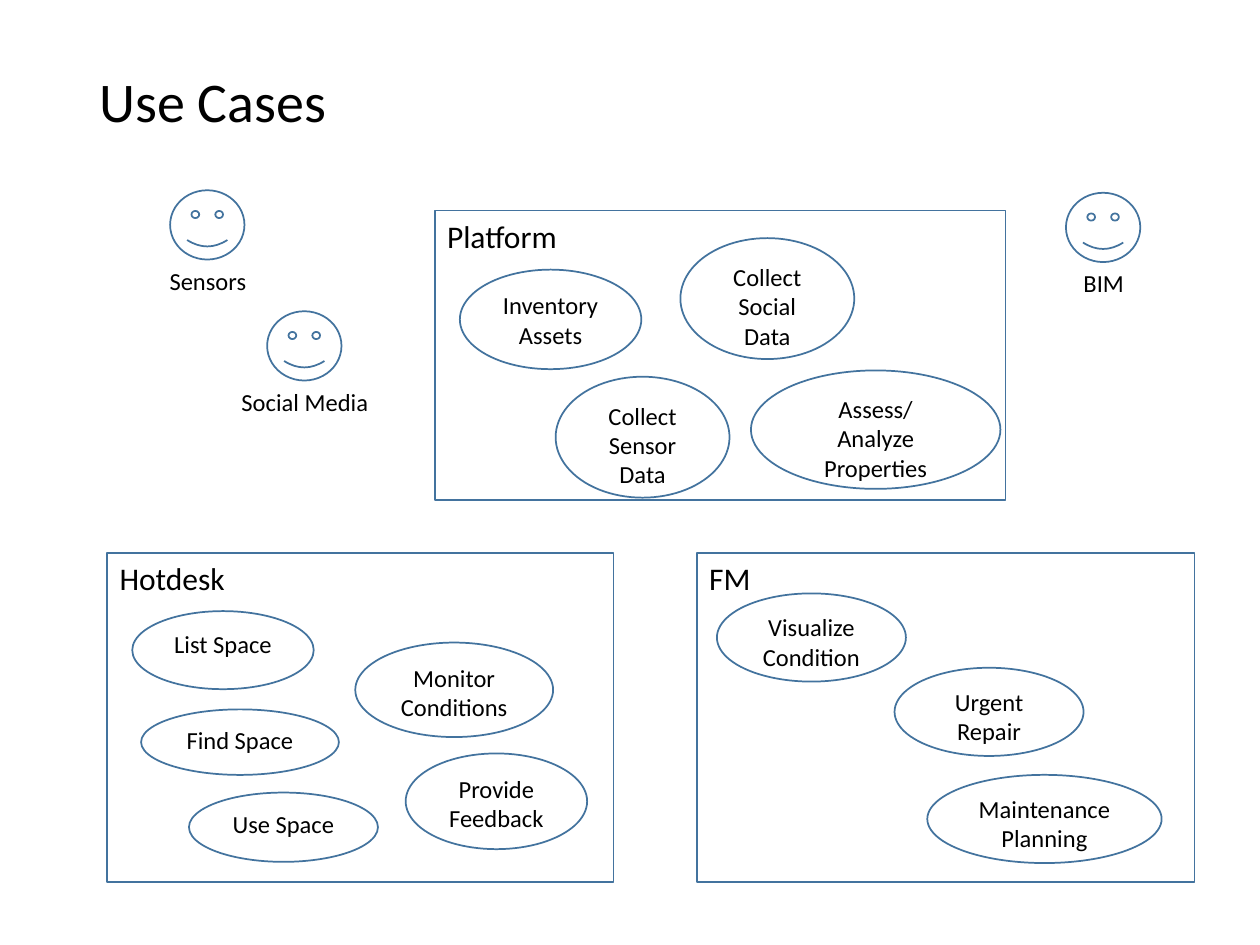
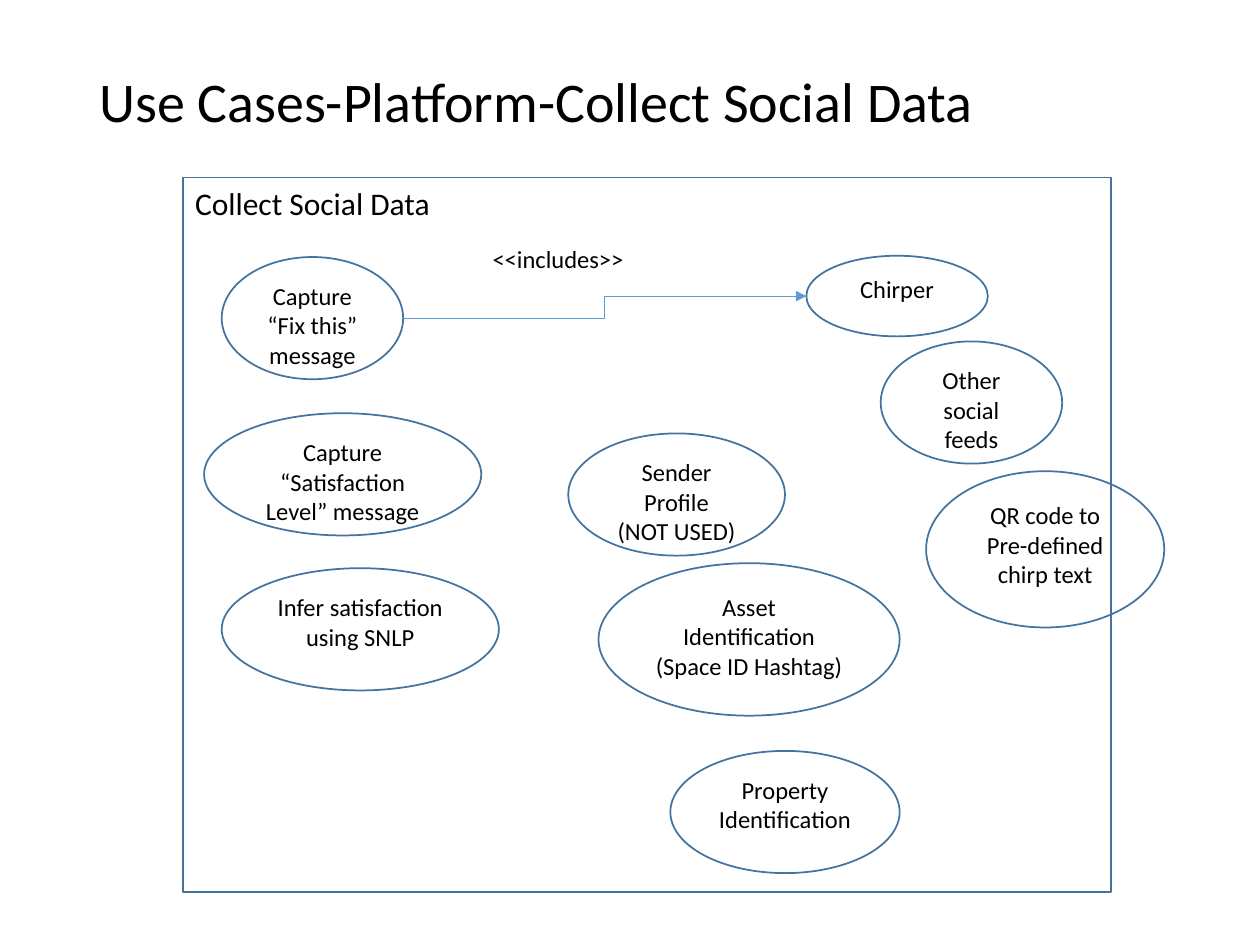
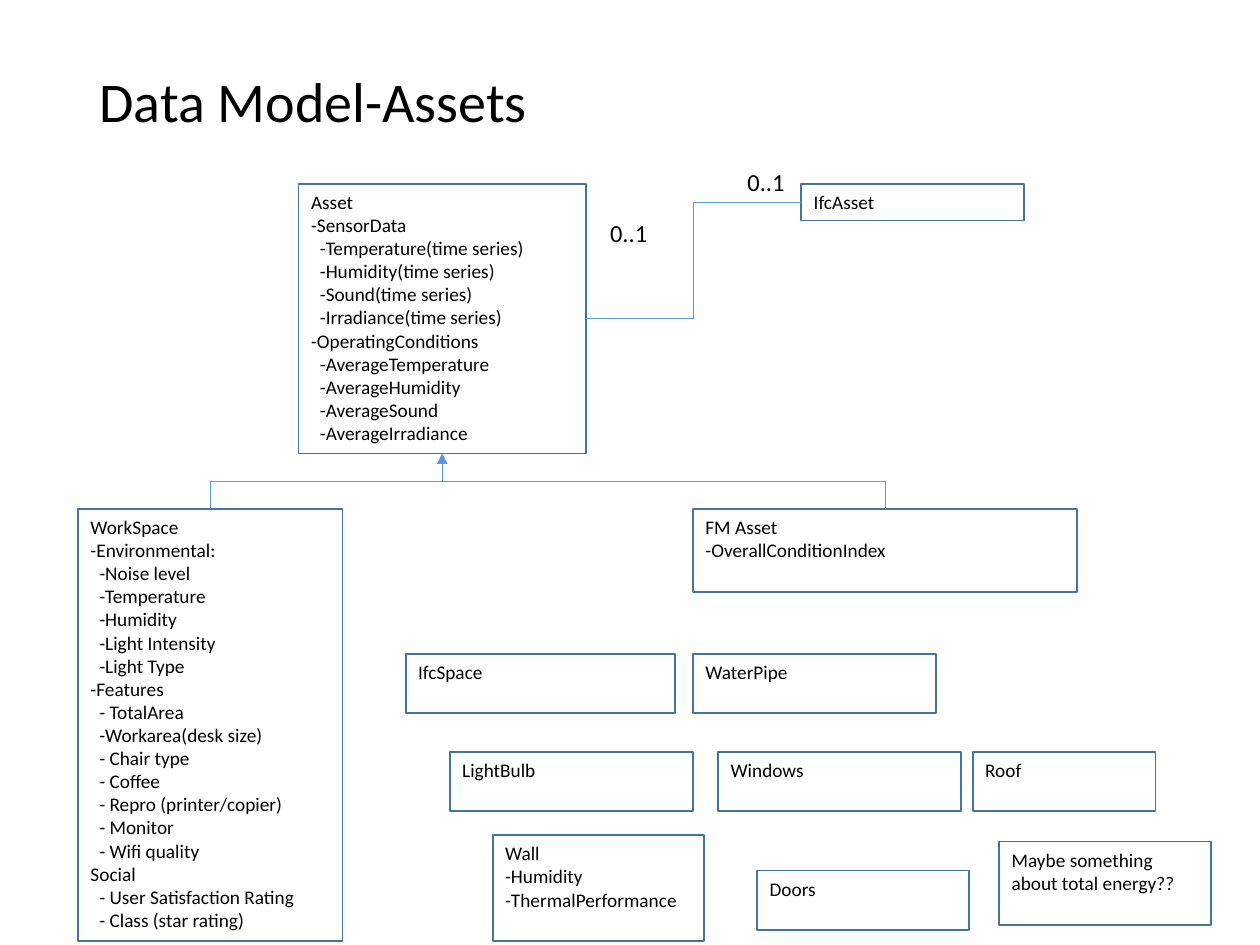
from dataclasses import dataclass

from lxml.etree import SubElement
from pptx import Presentation
from pptx.dml.color import RGBColor
from pptx.enum.shapes import MSO_CONNECTOR as Connector, MSO_SHAPE as Preset
from pptx.enum.text import MSO_ANCHOR as Anchor, PP_ALIGN as Align
from pptx.oxml.ns import qn
from pptx.util import Inches, Pt


@dataclass(frozen=True)
class Theme:
    font: str = "Calibri"
    ink: RGBColor = RGBColor(0x00, 0x00, 0x00)
    outline: RGBColor = RGBColor(0x43, 0x73, 0x9E)
    link: RGBColor = RGBColor(0x5B, 0x9B, 0xD5)
    title: int = 32
    heading: int = 18
    label: int = 14
    member: int = 11
    outline_width: float = 1
    link_width: float = 0.5
    member_indent: float = 0.07


THEME = Theme()


@dataclass(frozen=True)
class Box:
    x: float
    y: float
    w: float
    h: float

    def inner(self, x, y, w, h):
        return Box(self.x + x, self.y + y, w, h)

    def lengths(self):
        return [Inches(v) for v in (self.x, self.y, self.w, self.h)]

    def left(self):
        return self.x, self.y + self.h / 2

    def right(self):
        return self.x + self.w, self.y + self.h / 2

    def top(self):
        return self.x + self.w / 2, self.y

    def bottom(self):
        return self.x + self.w / 2, self.y + self.h


def write(holder, lines, size=THEME.label, align=Align.CENTER,
          anchor=Anchor.TOP, spacing=None, indents=()):
    frame = holder.text_frame
    frame.word_wrap = True
    frame.vertical_anchor = anchor
    for index, line in enumerate(lines):
        paragraph = frame.paragraphs[0] if index == 0 else frame.add_paragraph()
        paragraph.alignment = align
        if spacing:
            paragraph.line_spacing = spacing
        if indents and indents[index]:
            margin = Inches(indents[index])
            paragraph._p.get_or_add_pPr().set("marL", str(margin))
        run = paragraph.add_run()
        run.text = line
        run.font.name = THEME.font
        run.font.size = Pt(size)
        run.font.color.rgb = THEME.ink


def outlined(parent, preset, box):
    shape = parent.shapes.add_shape(preset, *box.lengths())
    shape.shadow.inherit = False
    shape.fill.background()
    shape.line.color.rgb = THEME.outline
    shape.line.width = Pt(THEME.outline_width)
    return shape


def caption(parent, box, text, **style):
    write(parent.shapes.add_textbox(*box.lengths()), [text], **style)


def link(slide, start, end, arrow=False, upright=False):
    if upright:
        mid_x, mid_y = (start[0] + end[0]) / 2, (start[1] + end[1]) / 2
        run, rise = (end[0] - start[0]) / 2, (end[1] - start[1]) / 2
        start, end = (mid_x - rise, mid_y + run), (mid_x + rise, mid_y - run)
    line = slide.shapes.add_connector(
        Connector.ELBOW, *[Inches(v) for v in (*start, *end)])
    line.line.color.rgb = THEME.link
    line.line.width = Pt(THEME.link_width)
    properties = line._element.spPr
    if upright:
        properties.find(qn("a:xfrm")).set("rot", str(90 * 60000))
    if arrow:
        SubElement(properties.find(qn("a:ln")), qn("a:headEnd"), type="triangle")
    SubElement(properties, qn("a:effectLst"))


def titled_slide(deck, title):
    slide = deck.slides.add_slide(deck.slide_layouts[6])
    caption(slide, Box(0.69, 0.4, 8.62, 0.85), title, size=THEME.title,
            align=Align.LEFT, anchor=Anchor.MIDDLE, spacing=0.9)
    return slide


def system(slide, box, heading, cases):
    write(outlined(slide, Preset.RECTANGLE, box), [heading],
          size=THEME.heading, align=Align.LEFT)
    for lines, *place in cases:
        write(outlined(slide, Preset.OVAL, box.inner(*place)), lines)


def actor(slide, box, role):
    group = slide.shapes.add_group_shape()
    outlined(group, Preset.SMILEY_FACE, box.inner(0.42, 0, 0.59, 0.55))
    caption(group, box.inner(0, 0.55, box.w, 0.36), role)


def entity(slide, box, name, sections=()):
    rows = [(name, 0)]
    for section, members in sections:
        rows.append((section, 0))
        rows += [(member, THEME.member_indent) for member in members]
    lines, indents = zip(*rows)
    write(outlined(slide, Preset.RECTANGLE, box), lines, size=THEME.member,
          align=Align.LEFT, indents=indents)


def use_cases(deck):
    slide = titled_slide(deck, "Use Cases")
    system(slide, Box(3.45, 1.67, 4.53, 2.3), "Platform", [
        (["Inventory Assets"], 0.2, 0.47, 1.44, 0.79),
        (["Collect Social Data"], 1.95, 0.22, 1.38, 0.96),
        (["Assess/ Analyze Properties"], 2.51, 1.27, 1.98, 0.94),
        (["Collect Sensor Data"], 0.96, 1.32, 1.38, 0.96),
    ])
    system(slide, Box(0.85, 4.39, 4.02, 2.61), "Hotdesk", [
        (["List Space"], 0.2, 0.46, 1.44, 0.62),
        (["Find Space"], 0.27, 1.24, 1.57, 0.52),
        (["Use Space"], 0.65, 1.9, 1.5, 0.55),
        (["Monitor Conditions"], 1.97, 0.71, 1.57, 0.75),
        (["Provide Feedback"], 2.37, 1.59, 1.44, 0.76),
    ])
    system(slide, Box(5.53, 4.39, 3.95, 2.61), "FM", [
        (["Visualize Condition"], 0.16, 0.32, 1.5, 0.7),
        (["Urgent Repair"], 1.57, 0.91, 1.5, 0.7),
        (["Maintenance Planning"], 1.83, 1.76, 1.86, 0.7),
    ])
    for role, x, y in [("Sensors", 0.93, 1.51), ("BIM", 8.04, 1.53),
                       ("Social Media", 1.7, 2.47)]:
        actor(slide, Box(x, y, 1.44, 0.91), role)


def social_data(deck):
    slide = titled_slide(deck, "Use Cases-Platform-Collect Social Data")
    box = Box(1.45, 1.41, 7.37, 5.67)
    fix_message = (0.31, 0.63, 1.44, 0.97)
    feed = (4.95, 0.62, 1.44, 0.64)
    system(slide, box, "Collect Social Data", [
        (["Capture", "“Fix this” message"], *fix_message),
        (["Chirper"], *feed),
        (["Capture", "“Satisfaction Level” message"], 0.17, 1.87, 2.2, 0.97),
        (["Infer satisfaction using SNLP"], 0.31, 3.1, 2.2, 0.97),
        (["Other social feeds"], 5.54, 1.3, 1.44, 0.97),
        (["Sender Profile", "(NOT USED)"], 3.06, 2.03, 1.72, 0.97),
        (["Asset Identification", "(Space ID Hashtag)"], 3.3, 3.06, 2.39, 1.21),
        (["Property", "Identification"], 3.87, 4.55, 1.82, 0.97),
        (["QR code to Pre-defined chirp text"], 5.9, 2.33, 1.89, 1.24),
    ])
    caption(slide, box.inner(2.26, 0.48, 1.44, 0.36), "<<includes>>")
    link(slide, box.inner(*feed).left(), box.inner(*fix_message).right(),
         arrow=True)


def asset_model(deck):
    slide = titled_slide(deck, "Data Model-Assets")
    box = Box(0.62, 1.46, 8.99, 6.01)
    asset = box.inner(1.75, 0, 2.28, 2.14)
    workspace = box.inner(0, 2.58, 2.1, 3.43)
    ifc_asset = box.inner(5.74, 0, 1.77, 0.29)
    fm_asset = box.inner(4.88, 2.58, 3.05, 0.66)

    entity(slide, asset, "Asset", [
        ("-SensorData", ["-Temperature(time series)", "-Humidity(time series)",
                         "-Sound(time series)", "-Irradiance(time series)"]),
        ("-OperatingConditions", ["-AverageTemperature", "-AverageHumidity",
                                  "-AverageSound", "-AverageIrradiance"]),
    ])
    entity(slide, workspace, "WorkSpace", [
        ("-Environmental:", ["-Noise level", "-Temperature", "-Humidity",
                             "-Light Intensity", "-Light Type"]),
        ("-Features", ["- TotalArea", "-Workarea(desk size)", "- Chair type",
                       "- Coffee", "- Repro (printer/copier)", "- Monitor",
                       "- Wifi quality"]),
        ("Social", ["- User Satisfaction Rating", "- Class (star rating)"]),
    ])
    entity(slide, ifc_asset, "IfcAsset")
    entity(slide, fm_asset, "FM Asset", [("-OverallConditionIndex", [])])
    entity(slide, box.inner(3.29, 5.17, 1.68, 0.84), "Wall",
           [("-Humidity", []), ("-ThermalPerformance", [])])
    entity(slide, box.inner(7.31, 5.22, 1.68, 0.66),
           "Maybe something about total energy??")
    for name, x, y, width in [
        ("IfcSpace", 2.6, 3.73, 2.14), ("WaterPipe", 4.88, 3.73, 1.93),
        ("LightBulb", 2.95, 4.51, 1.93), ("Windows", 5.08, 4.51, 1.93),
        ("Roof", 7.1, 4.51, 1.45), ("Doors", 5.39, 5.45, 1.68),
    ]:
        entity(slide, box.inner(x, y, width, 0.47), name)

    for child in (workspace, fm_asset):
        link(slide, asset.bottom(), child.top(), arrow=True, upright=True)
    link(slide, asset.right(), ifc_asset.left())
    for x, y in [(3.65, 0.22), (4.74, -0.18)]:
        caption(slide, box.inner(x, y, 1.44, 0.36), "0..1")


deck = Presentation()
deck.slide_width, deck.slide_height = Inches(10), Inches(7.5)
for build in (use_cases, social_data, asset_model):
    build(deck)
deck.save("out.pptx")
